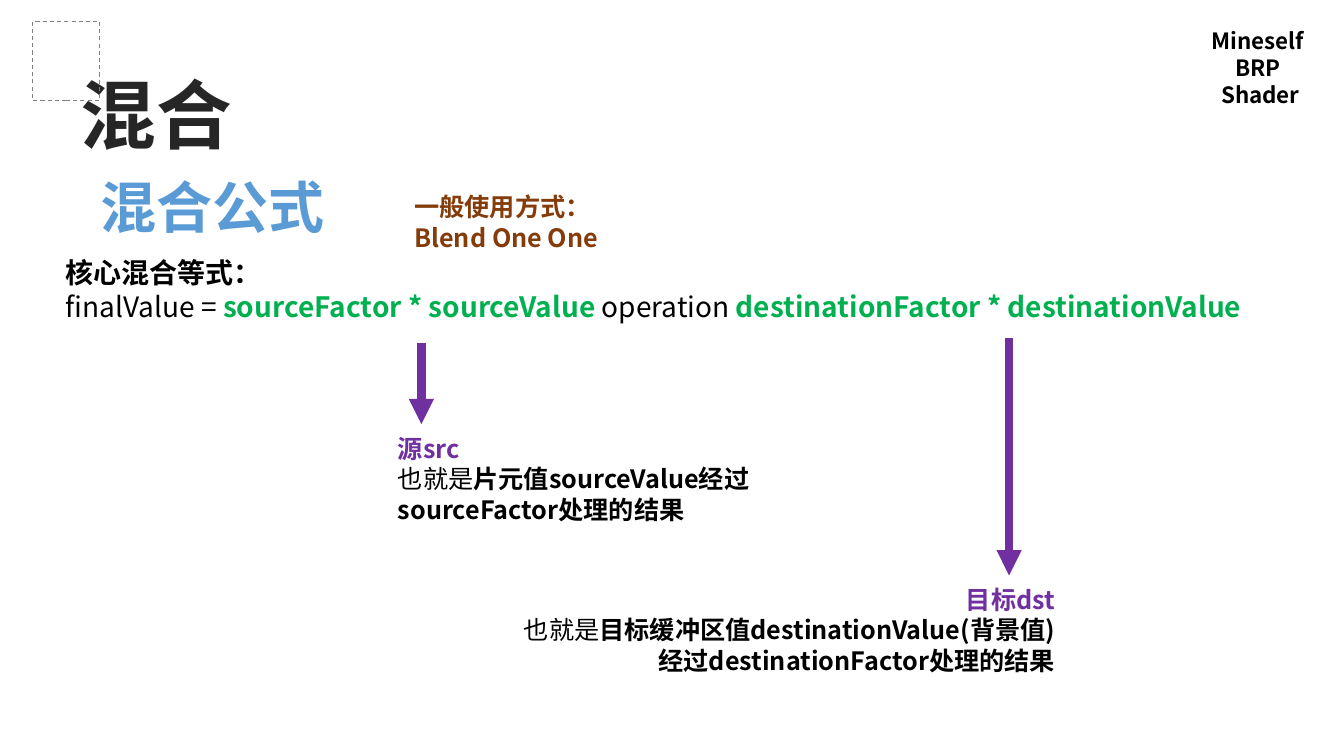
"""Build the slide that explains the shader blending formula."""
from lxml.etree import SubElement
from pptx import Presentation
from pptx.dml.color import RGBColor
from pptx.enum.dml import MSO_LINE
from pptx.enum.shapes import MSO_CONNECTOR, MSO_SHAPE
from pptx.enum.text import MSO_ANCHOR, MSO_AUTO_SIZE, PP_ALIGN
from pptx.oxml.ns import qn
from pptx.util import Cm, Pt

FONT = "Noto Sans CJK JP"
COLORS = {
    "title": "262626",
    "subtitle": "5B9BD5",
    "text": "000000",
    "factor": "00B050",
    "usage": "843C0B",
    "accent": "7030A0",
    "frame": "808080",
}


def write(holder, box, size, paragraphs, align=PP_ALIGN.LEFT):
    holder.left, holder.top, holder.width, holder.height = map(Cm, box)
    frame = holder.text_frame
    frame.word_wrap = True
    frame.auto_size = MSO_AUTO_SIZE.SHAPE_TO_FIT_TEXT
    frame.vertical_anchor = MSO_ANCHOR.TOP
    frame.margin_left = frame.margin_right = frame.margin_top = frame.margin_bottom = 0
    for index, runs in enumerate(paragraphs):
        paragraph = frame.add_paragraph() if index else frame.paragraphs[0]
        paragraph.alignment = align
        paragraph.line_spacing = Pt(size * 1.2)
        for words, color, bold in runs:
            for row, line in enumerate(words.split("\n")):
                if row:
                    paragraph.add_line_break()
                run = paragraph.add_run()
                run.text = line
                run.font.size = Pt(size)
                run.font.bold = bold
                run.font.name = FONT
                run.font.color.rgb = RGBColor.from_string(COLORS[color])
                SubElement(run.font._element, qn("a:ea"), typeface=FONT)


presentation = Presentation()
presentation.slide_width = Cm(33.87)
presentation.slide_height = Cm(19.05)
slide = presentation.slides.add_slide(presentation.slide_layouts[5])

corner = slide.shapes.add_shape(MSO_SHAPE.RECTANGLE, Cm(0.82), Cm(0.54), Cm(1.7), Cm(1.99))
corner.shadow.inherit = False
corner.fill.background()
corner.line.color.rgb = RGBColor.from_string(COLORS["frame"])
corner.line.width = Pt(0.75)
corner.line.dash_style = MSO_LINE.DASH

write(slide.shapes.title, (2.04, 1.72, 15.19, 2.31), 54, [[("混合", "title", True)]])

passages = [
    ((2.54, 4.34, 8.2, 1.7), 40, PP_ALIGN.LEFT, [[("混合公式", "subtitle", True)]]),
    ((30.28, 0.69, 2.97, 2.06), 16, PP_ALIGN.CENTER,
     [[(word, "text", True)] for word in ("Mineself ", "BRP ", "Shader")]),
    ((1.65, 6.45, 31.32, 1.7), 20, PP_ALIGN.LEFT, [
        [("核心混合等式：", "text", True)],
        [("finalValue = ", "text", False),
         ("sourceFactor * sourceValue ", "factor", True),
         ("operation ", "text", False),
         ("destinationFactor * destinationValue", "factor", True)],
    ]),
    ((10.44, 4.83, 9.7, 1.55), 18, PP_ALIGN.LEFT,
     [[("一般使用方式：\nBlend One One", "usage", True)]]),
    ((10.03, 10.92, 11.1, 2.31), 18, PP_ALIGN.LEFT, [
        [("源src", "accent", True)],
        [("也就是", "text", False),
         ("片元值sourceValue经过sourceFactor处理的结果", "text", True)],
    ]),
    ((13.08, 14.73, 13.51, 2.31), 18, PP_ALIGN.RIGHT, [
        [("目标dst", "accent", True)],
        [("也就是", "text", False),
         ("目标缓冲区值destinationValue(背景值)经过destinationFactor处理的结果", "text", True)],
    ]),
]
for box, size, align, paragraphs in passages:
    write(slide.shapes.add_textbox(0, 0, 0, 0), box, size, paragraphs, align)

for x, start, end in ((10.62, 8.64, 10.69), (25.43, 8.51, 14.5)):
    arrow = slide.shapes.add_connector(MSO_CONNECTOR.STRAIGHT, Cm(x), Cm(start), Cm(x), Cm(end))
    arrow.line.color.rgb = RGBColor.from_string(COLORS["accent"])
    arrow.line.width = Pt(6)
    SubElement(arrow.line._get_or_add_ln(), qn("a:tailEnd"), type="triangle")
    SubElement(arrow._element.spPr, qn("a:effectLst"))

presentation.save("out.pptx")
